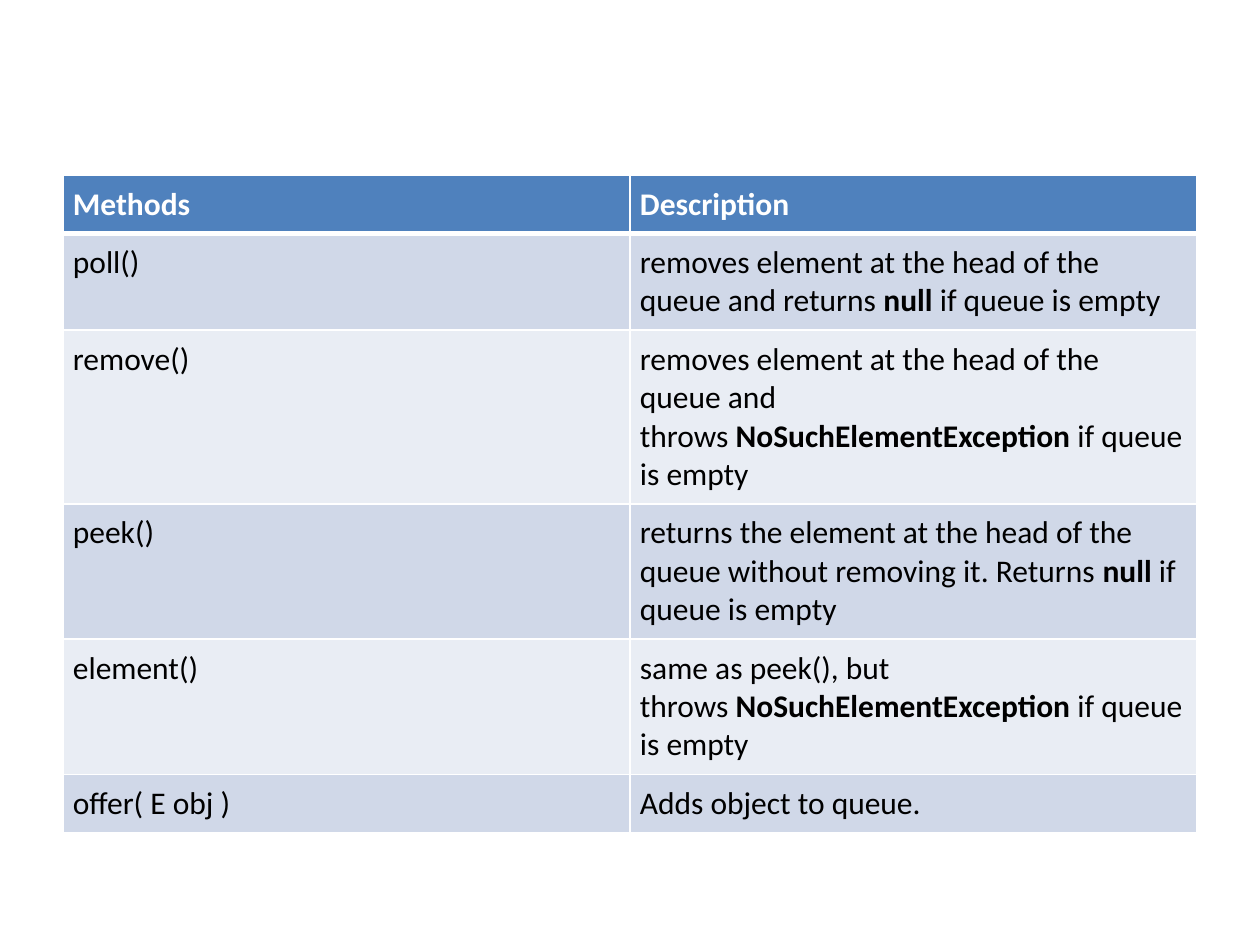
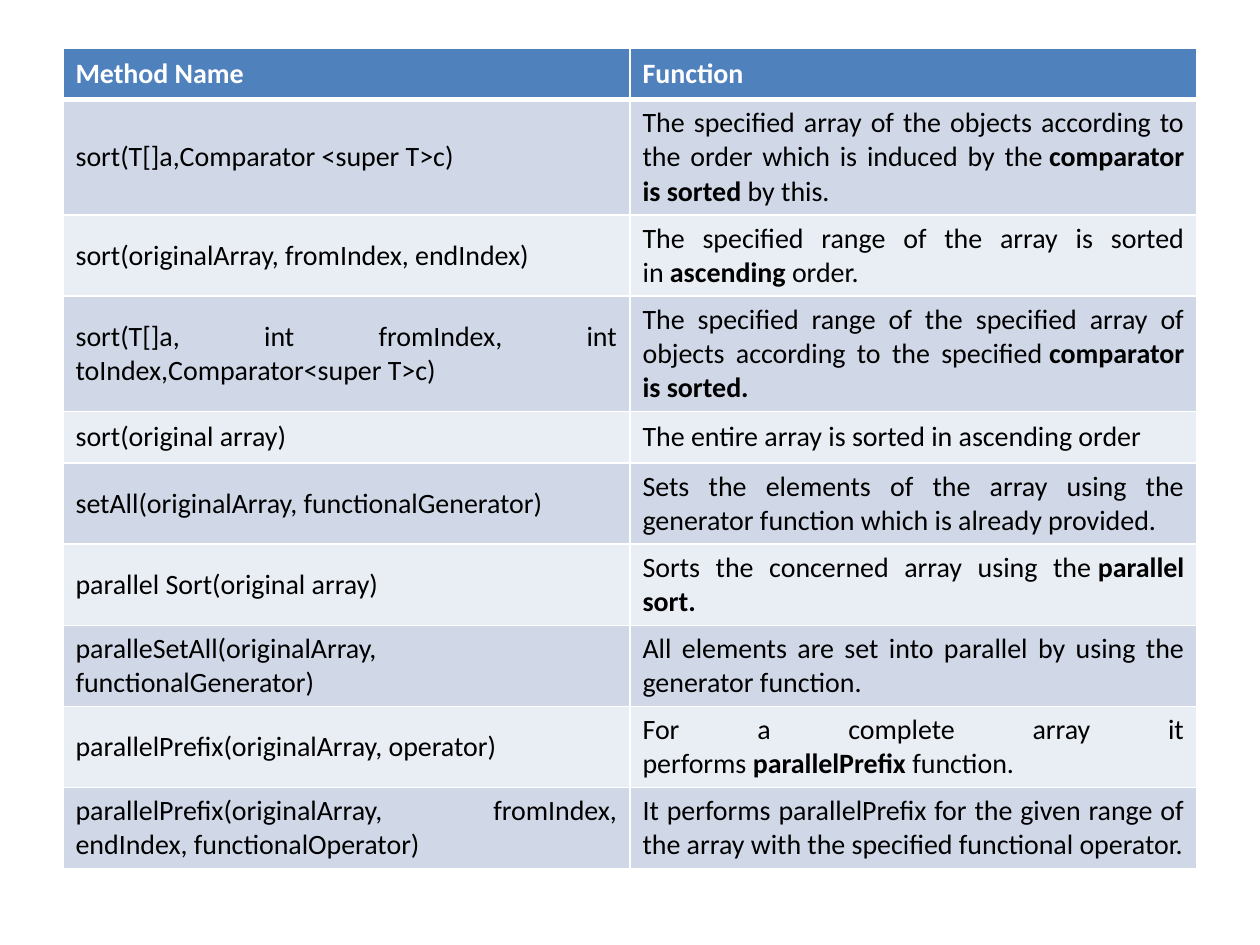
from lxml import etree
from pptx import Presentation
from pptx.dml.color import RGBColor
from pptx.enum.text import MSO_ANCHOR, PP_ALIGN
from pptx.oxml.ns import qn
from pptx.util import Cm, Pt

TOP, MIDDLE = MSO_ANCHOR.TOP, MSO_ANCHOR.MIDDLE
LEFT, JUSTIFY = PP_ALIGN.LEFT, PP_ALIGN.JUSTIFY
HARD_SPACE = chr(160)

QUEUE_METHODS = [
    ("Methods", "Description"),
    ("poll()", "removes element at the head of the queue and returns *null* if queue is empty"),
    ("remove()", "removes element at the head of the queue and throws *NoSuchElementException* if queue is empty"),
    ("peek()", "returns the element at the head of the queue without removing it. Returns *null* if queue is empty"),
    ("element()", "same as peek(), but throws *NoSuchElementException* if queue is empty"),
    ("offer( E obj )", "Adds object to queue."),
]

ARRAY_METHODS = [
    ("Method Name", "Function"),
    ("sort(T[]a,Comparator <super T>c)",
     "The specified array of the objects according to the order which is induced by the *comparator is sorted* by this."),
    ("sort(originalArray, fromIndex, endIndex)", "The specified range of the array is sorted in *ascending* order."),
    ("sort(T[]a, int fromIndex, int toIndex,Comparator<super T>c)",
     "The specified range of the specified array of objects according to the specified *comparator is sorted.*"),
    ("sort(original array)", "The entire array is sorted in ascending order"),
    ("setAll(originalArray, functionalGenerator)",
     "Sets the elements of the array using the generator function which is already provided."),
    ("parallel Sort(original array)", "Sorts the concerned array using the *parallel sort.*"),
    ("paralleSetAll(originalArray, functionalGenerator)",
     "All elements are set into parallel by using the generator function."),
    ("parallelPrefix(originalArray, operator)", "For a complete array it performs *parallelPrefix* function."),
    ("parallelPrefix(originalArray, fromIndex, endIndex, functionalOperator)",
     "It performs parallelPrefix for the given range of the array with the specified functional operator."),
]

QUEUE_FORMAT = {
    "vertical_anchor": TOP,
    "margin_left": Cm(0.2),
    "margin_right": Cm(0.2),
    "margin_top": Cm(0.2),
    "margin_bottom": Cm(0.2),
}
ARRAY_FORMAT = {"vertical_anchor": MIDDLE}


def color(value):
    return RGBColor.from_string(value)


def apply(target, values):
    for name, value in values.items():
        setattr(target, name, value)


class Page:
    font = "Calibri"
    header_fill = "4F81BD"
    header_text = "FFFFFF"
    body_text = "000000"
    body_fills = ("E9EDF4", "D0D8E8")
    rule = "FFFFFF"
    left, width, row_height = 1.27, 22.86, 1.04

    def __init__(self, deck):
        self.slide = deck.slides.add_slide(deck.slide_layouts[6])

    def border(self, cell, edge, points):
        properties = cell._tc.get_or_add_tcPr()
        line = etree.SubElement(properties, qn(f"a:ln{edge}"), w=str(Pt(points)))
        fill = etree.SubElement(line, qn("a:solidFill"))
        etree.SubElement(fill, qn("a:srgbClr"), val=self.rule)

    def text(self, para, content, size, ink, bold):
        content = content.replace(" *", HARD_SPACE + "*").replace("* ", "*" + HARD_SPACE)
        for index, part in enumerate(content.split("*")):
            if part:
                span = para.add_run()
                span.text = part
                apply(span.font, {"name": self.font, "size": Pt(size), "bold": bold or index % 2 == 1})
                span.font.color.rgb = color(ink)

    def cell(self, cell, content, row, size, align, cell_format):
        header = row == 0
        edges = {"L": 1, "R": 1, "T": 3 if row == 1 else 1, "B": 3 if header else 1}
        for edge, points in edges.items():
            self.border(cell, edge, points)
        cell.fill.solid()
        cell.fill.fore_color.rgb = color(self.header_fill if header else self.body_fills[row % 2])
        apply(cell, cell_format)
        para = cell.text_frame.paragraphs[0]
        para.alignment = align
        self.text(para, content, size, self.header_text if header else self.body_text, header)

    def table(self, rows, top, height, size, align, cell_format):
        frame = self.slide.shapes.add_table(
            len(rows), len(rows[0]), Cm(self.left), Cm(top), Cm(self.width), Cm(height))
        for row, contents in enumerate(rows):
            frame.table.rows[row].height = Cm(self.row_height)
            for column, content in enumerate(contents):
                self.cell(frame.table.cell(row, column), content, row, size, align, cell_format)
        frame.height = Cm(height)


def main():
    deck = Presentation()
    apply(deck, {"slide_width": Cm(25.4), "slide_height": Cm(19.05)})
    Page(deck).table(QUEUE_METHODS, 3.53, 13.21, 18, LEFT, QUEUE_FORMAT)
    Page(deck).table(ARRAY_METHODS, 0.97, 16.97, 16, JUSTIFY, ARRAY_FORMAT)
    deck.save("out.pptx")


if __name__ == "__main__":
    main()
